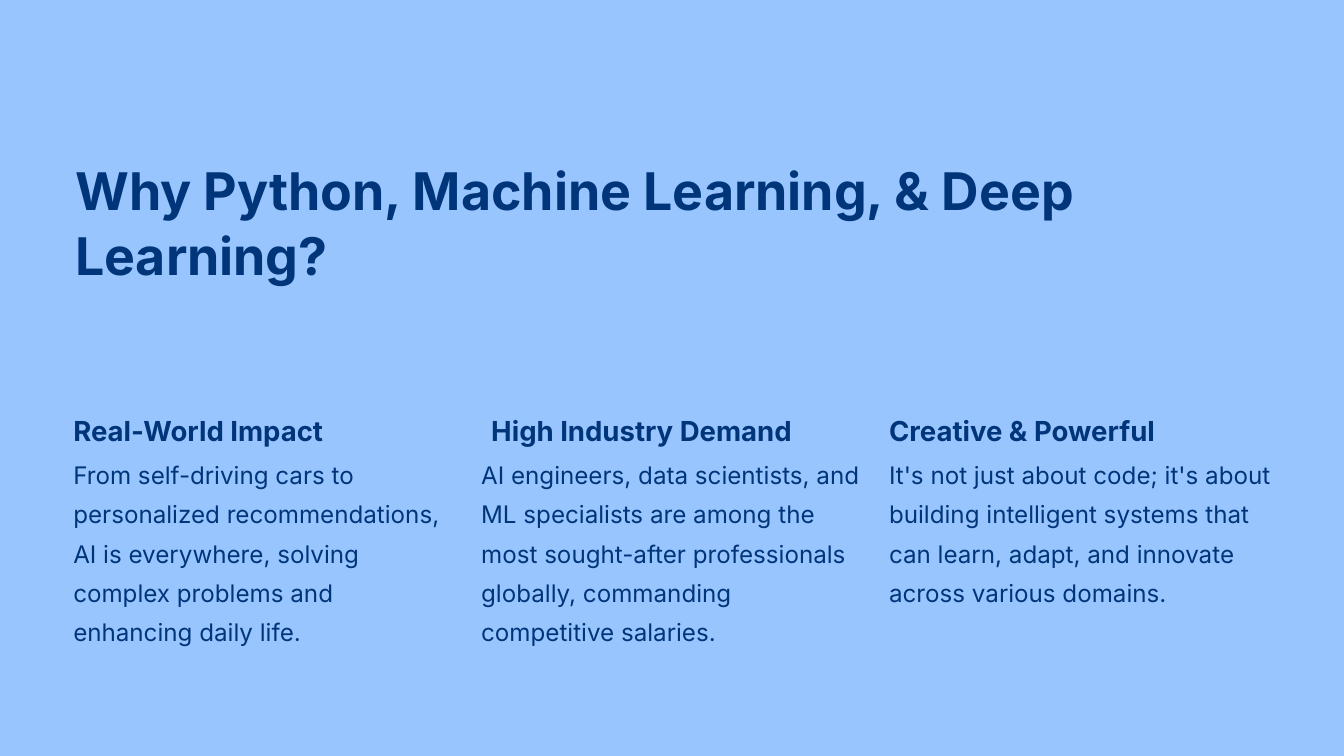
from pptx import Presentation
from pptx.dml.color import RGBColor
from pptx.enum.shapes import MSO_SHAPE
from pptx.enum.text import MSO_ANCHOR, MSO_AUTO_SIZE, PP_ALIGN
from pptx.util import Inches, Pt

RECT = MSO_SHAPE.RECTANGLE
TOP = MSO_ANCHOR.TOP
FIXED = MSO_AUTO_SIZE.NONE
LEFT = PP_ALIGN.LEFT
COLORS = {"sky": "99C5FF", "navy": "00357A"}
FONT = "Inter"


def write(box, text, size, lead, bold=False):
    frame = box.text_frame
    frame.word_wrap = True
    frame.auto_size = FIXED
    frame.vertical_anchor = TOP
    frame.margin_left = frame.margin_right = 0
    frame.margin_top = frame.margin_bottom = 0
    para = frame.paragraphs[0]
    para.alignment = LEFT
    para.line_spacing = Pt(lead)
    run = para.add_run()
    run.text = text
    run.font.name = FONT
    run.font.size = Pt(size)
    run.font.bold = bold
    run.font.color.rgb = RGBColor.from_string(COLORS["navy"])


deck = Presentation()
deck.slide_width = Inches(20)
deck.slide_height = Inches(11.25)
slide = deck.slides.add_slide(deck.slide_layouts[5])
title = slide.shapes.title

panel = slide.shapes.add_shape(
    RECT, 0, 0, deck.slide_width, deck.slide_height)
panel.shadow.inherit = False
panel.line.fill.background()
for fill in (slide.background.fill, panel.fill):
    fill.solid()
    fill.fore_color.rgb = RGBColor.from_string(COLORS["sky"])
title.element.addprevious(panel.element)

title.left, title.top = Inches(1.12), Inches(2.32)
title.width, title.height = Inches(17.83), Inches(1.97)
write(title, "Why Python, Machine Learning, & Deep Learning?",
      size=55.6, lead=69.4, bold=True)

reasons = [
    ("Real-World Impact", 0, 3.88, 2.89,
     "From self-driving cars to personalized recommendations, AI is "
     "everywhere, solving complex problems and enhancing daily life."),
    ("High Industry Demand", 0.15, 4.65, 2.89,
     "AI engineers, data scientists, and ML specialists are among the most "
     "sought-after professionals globally, commanding competitive salaries."),
    ("Creative & Powerful", 0, 4.52, 2.3,
     "It's not just about code; it's about building intelligent systems that "
     "can learn, adapt, and innovate across various domains."),
]
for i, (name, shift, width, height, text) in enumerate(reasons):
    left = 1.09 + i * 6.07
    head = slide.shapes.add_textbox(
        Inches(left + shift), Inches(6.14), Inches(width), Inches(0.51))
    write(head, name, size=29.5, lead=36.9, bold=True)
    body = slide.shapes.add_textbox(
        Inches(left), Inches(6.7), Inches(5.72), Inches(height))
    write(body, text, size=25.9, lead=42.1)

deck.save("out.pptx")
